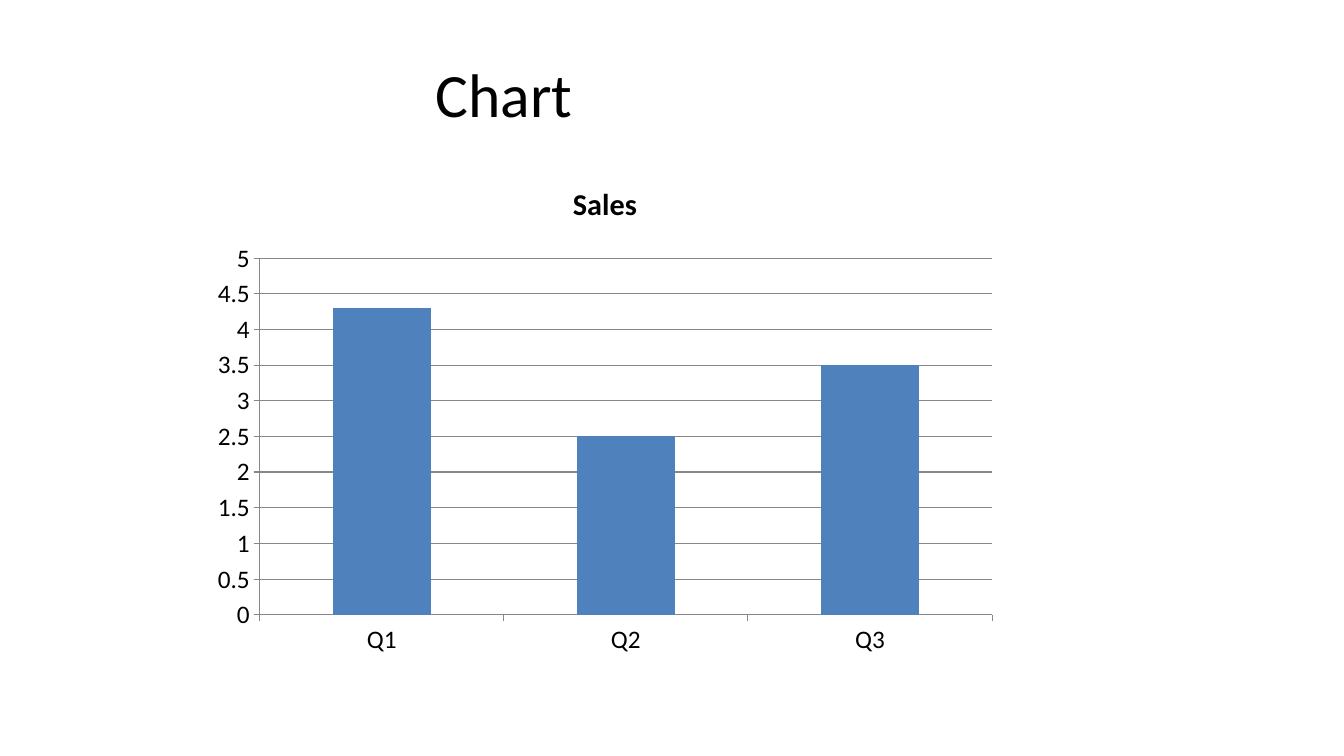
from dataclasses import dataclass
from pptx import Presentation
from pptx import util as u
from pptx.chart import data
from pptx.dml.color import RGBColor
from pptx.enum import chart as kinds, text


@dataclass(frozen=True)
class Theme:
    face: str = "Calibri"
    ink: str = "000000"
    rule: str = "878787"
    bar: str = "4F81BD"
    head: float = 44
    title: float = 21.6
    label: float = 18
    line: float = 0.75


class Deck:
    """Draws styled elements on the current slide."""

    def __init__(self, theme):
        self.theme = theme
        self.show = Presentation()
        self.show.slide_width = u.Inches(13.33)
        self.show.slide_height = u.Inches(7.5)
        self.slide = self.show.slides.add_slide(self.show.slide_layouts[6])

    def style(self, font, size, bold=False):
        font.name = self.theme.face
        font.size = u.Pt(size)
        font.bold = bold
        font.color.rgb = RGBColor.from_string(self.theme.ink)

    def stroke(self, line):
        line.color.rgb = RGBColor.from_string(self.theme.rule)
        line.width = u.Pt(self.theme.line)

    def head(self, words, *box):
        frame = self.slide.shapes.add_textbox(*map(u.Inches, box)).text_frame
        frame.word_wrap = True
        frame.vertical_anchor = text.MSO_ANCHOR.MIDDLE
        para = frame.paragraphs[0]
        para.text = words
        para.alignment = text.PP_ALIGN.CENTER
        self.style(para.font, self.theme.head)

    def axis(self, axis, grid):
        axis.major_tick_mark = kinds.XL_TICK_MARK.OUTSIDE
        axis.minor_tick_mark = kinds.XL_TICK_MARK.NONE
        axis.has_major_gridlines = grid
        if grid:
            self.stroke(axis.major_gridlines.format.line)
        self.stroke(axis.format.line)
        self.style(axis.tick_labels.font, self.theme.label)

    def columns(self, name, values, top, step, *box):
        source = data.CategoryChartData()
        source.categories = list(values)
        source.add_series(name, list(values.values()))
        kind = kinds.XL_CHART_TYPE.COLUMN_CLUSTERED
        chart = self.slide.shapes.add_chart(kind, *map(u.Inches, box), source).chart
        self.style(chart.font, self.theme.label)
        chart.has_legend = False
        chart.has_title = True
        para = chart.chart_title.text_frame.paragraphs[0]
        para.text = name
        self.style(para.font, self.theme.title, bold=True)
        chart.chart_title.include_in_layout = False
        self.axis(chart.category_axis, False)
        self.axis(chart.value_axis, True)
        chart.value_axis.minimum_scale = 0
        chart.value_axis.maximum_scale = top
        chart.value_axis.major_unit = step
        plot = chart.plots[0]
        plot.gap_width = 150
        plot.vary_by_categories = False
        fill = plot.series[0].format.fill
        fill.solid()
        fill.fore_color.rgb = RGBColor.from_string(self.theme.bar)


def main():
    deck = Deck(Theme())
    deck.head("Chart", 0.5, 0.3, 9, 1.25)
    sales = {"Q1": 4.3, "Q2": 2.5, "Q3": 3.5}
    deck.columns("Sales", sales, 5, 0.5, 2, 1.6, 8, 5)
    deck.show.save("out.pptx")


if __name__ == "__main__":
    main()
